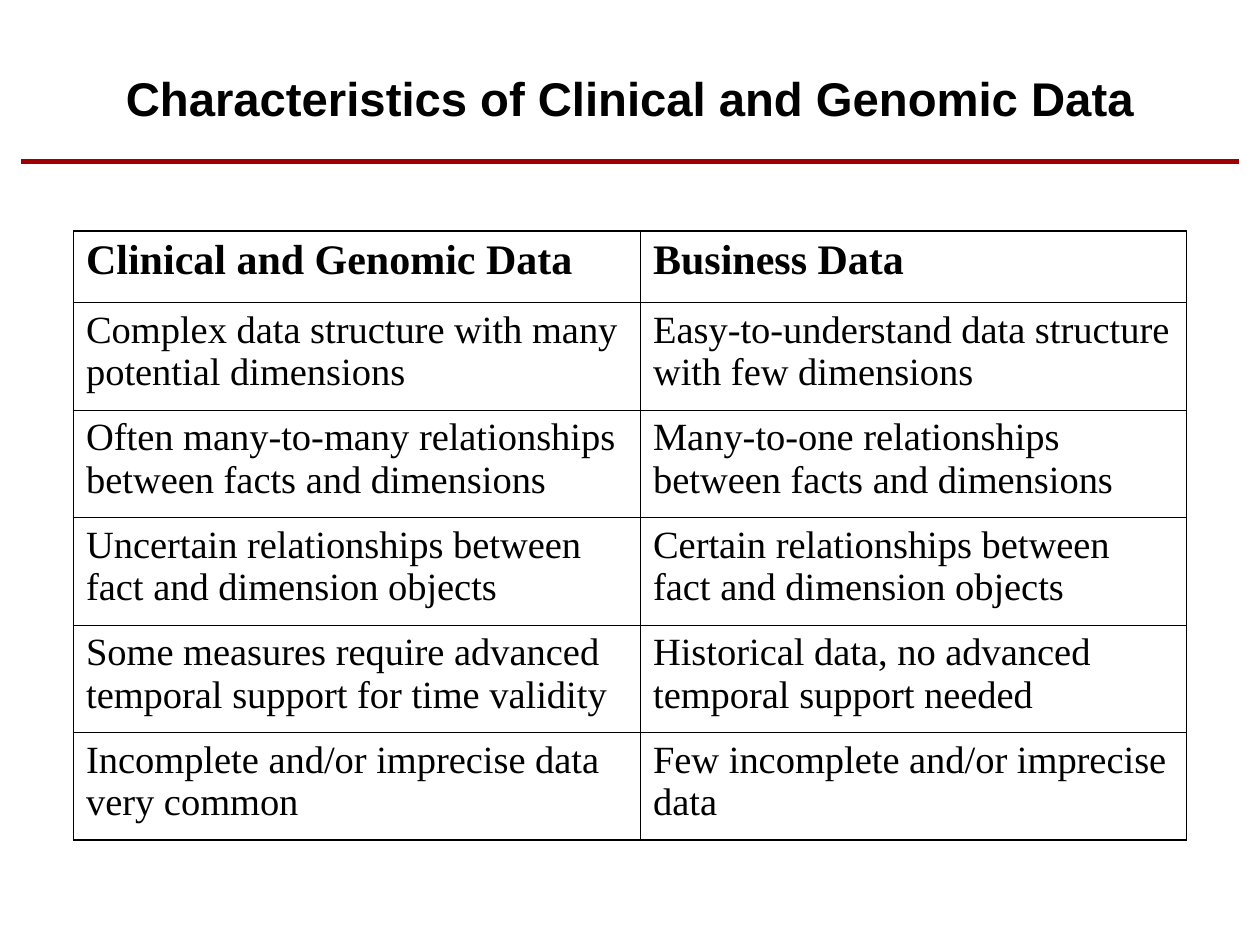
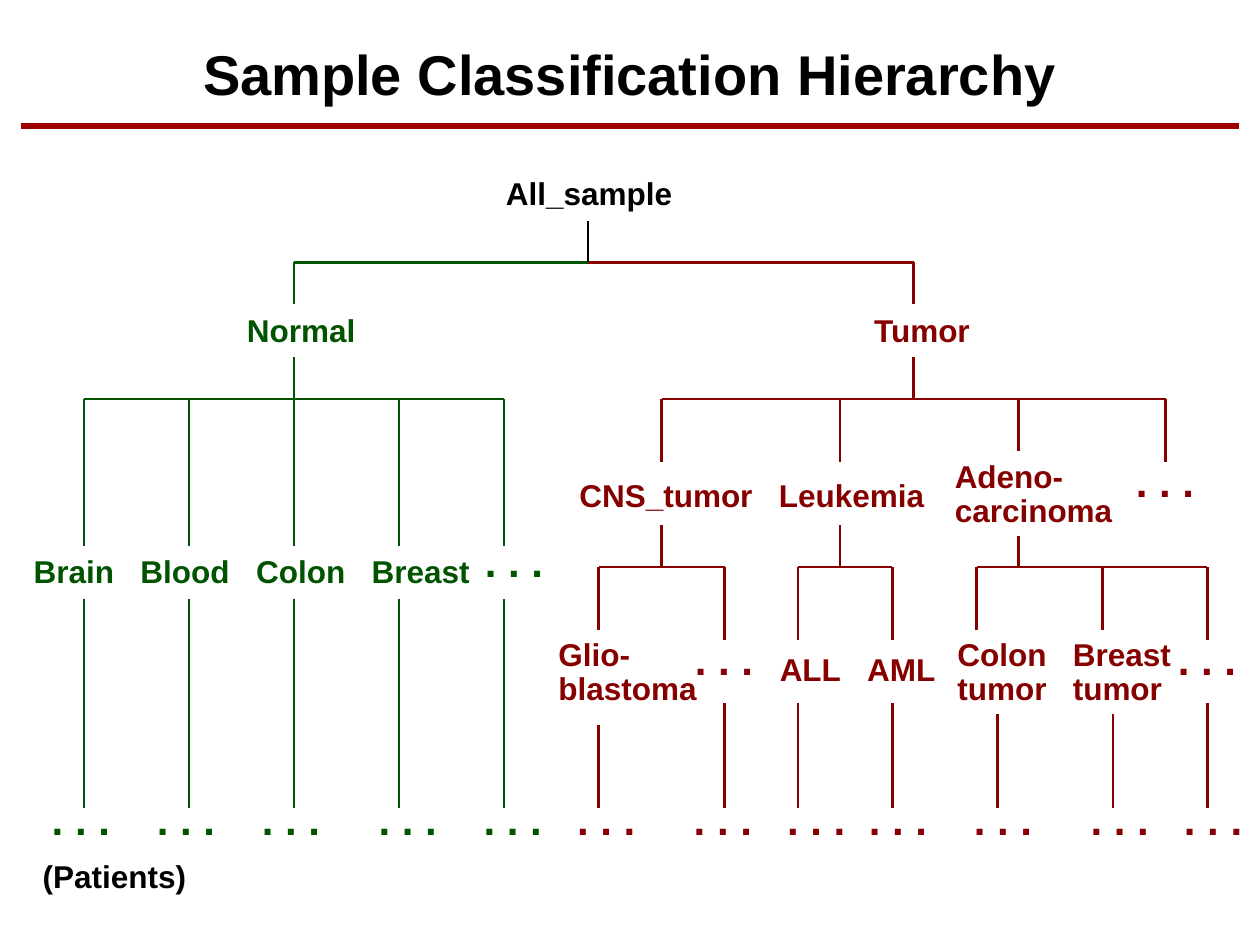
from dataclasses import dataclass
from itertools import accumulate

from lxml.etree import SubElement
from pptx import Presentation
from pptx.dml.color import RGBColor
from pptx.enum.shapes import MSO_CONNECTOR
from pptx.enum.text import MSO_ANCHOR, MSO_AUTO_SIZE, PP_ALIGN
from pptx.oxml.ns import qn
from pptx.util import Pt


@dataclass(frozen=True)
class Theme:
    """Colours, fonts, type sizes and line widths of the deck."""
    black: str = "000000"
    white: str = "FFFFFF"
    rule: str = "9E0000"
    normal: str = "005400"
    tumor: str = "860000"
    heading_font: str = "Arial"
    table_font: str = "Times New Roman"
    label_size: int = 18
    dots_size: int = 24
    header_size: int = 24
    cell_size: int = 22
    rule_width: float = 3
    branch_width: float = 1.5
    border_strong: float = 0.96
    border_light: float = 0.45


THEME = Theme()
DOTS = ". . ."
DOTS_WIDTH, DOTS_HEIGHT = 47.8, 36

COMPARISON = [
    ("Clinical and Genomic Data", "Business Data"),
    ("Complex data structure with many potential dimensions",
     "Easy-to-understand data structure with few dimensions"),
    ("Often many-to-many relationships between facts and dimensions",
     "Many-to-one relationships between facts and dimensions"),
    ("Uncertain relationships between fact and dimension objects",
     "Certain relationships between fact and dimension objects"),
    ("Some measures require advanced temporal support for time validity",
     "Historical data, no advanced temporal support needed"),
    ("Incomplete and/or imprecise data very common",
     "Few incomplete and/or imprecise data"),
]

LABELS = [
    ("All_sample", 282, 96, 109.4, THEME.black),
    ("Normal", 134, 174, 76.4, THEME.normal),
    ("Tumor", 492.5, 174, 70.4, THEME.tumor),
    ("Brain", 12.2, 312, 60.4, THEME.normal),
    ("Blood", 73.2, 312, 65.4, THEME.normal),
    ("Colon", 139.3, 312, 65.4, THEME.normal),
    ("Breast", 205.3, 312, 70.4, THEME.normal),
    ("CNS_tumor", 324, 268.5, 113.4, THEME.tumor),
    ("Leukemia", 438, 268.5, 97.4, THEME.tumor),
    ("Adeno-\ncarcinoma", 538.5, 260, 104.4, THEME.tumor),
    ("Glio-\nblastoma", 312, 361.5, 93.6, THEME.tumor),
    ("ALL", 438.5, 368, 49.4, THEME.tumor),
    ("AML", 488.5, 368, 53.4, THEME.tumor),
    ("Colon\ntumor", 540, 361.5, 65.4, THEME.tumor),
    ("Breast\ntumor", 606, 361.5, 70.4, THEME.tumor),
    ("(Patients)", 17.3, 486, 96.4, THEME.black),
]

MORE_GROUPS = [
    (270, 302.4, THEME.normal),
    (642, 257, THEME.tumor),
    (390, 358.5, THEME.tumor),
    (666, 358.5, THEME.tumor),
]

STEMS = [
    (336, 126, 150, THEME.black),
    (168, 204, 228, THEME.normal),
    (522, 204, 228, THEME.tumor),
    (378, 300, 324, THEME.tumor),
    (480, 300, 324, THEME.tumor),
    (582, 306, 324, THEME.tumor),
]

NORMAL_COLUMNS = range(48, 289, 60)
FORKS = [
    (336, 150, {168: 174}, THEME.normal),
    (336, 150, {522: 174}, THEME.tumor),
    (168, 228, dict.fromkeys(NORMAL_COLUMNS, 312), THEME.normal),
    (522, 228, {378: 264, 480: 264, 582: 258, 666: 264}, THEME.tumor),
    (378, 324, {342: 360, 414: 366}, THEME.tumor),
    (480, 324, {456: 366, 510: 366}, THEME.tumor),
    (582, 324, {558: 360, 630: 360, 690: 366}, THEME.tumor),
]

PATIENTS_BOTTOM = 462
TUMOR_PATIENT_TOPS = {342: 414, 414: 402, 456: 402, 510: 402,
                      570: 408, 636: 408, 690: 402}
PATIENT_DOT_STEPS = (9, 9, 10, 9, 8, 10, 8, 7, 9, 10, 8)
STEP_WIDTH = 6.67


def write_text(frame, text, *, size, color=THEME.black, font=THEME.heading_font,
               bold=True, align=PP_ALIGN.LEFT, spacing=None):
    """Fill a text frame with one formatted paragraph per line of text."""
    for index, line in enumerate(text.split("\n")):
        para = frame.add_paragraph() if index else frame.paragraphs[0]
        para.alignment = align
        para.line_spacing = spacing
        span = para.add_run()
        span.text = line
        span.font.size = Pt(size)
        span.font.name = font
        span.font.bold = bold
        span.font.color.rgb = RGBColor.from_string(color)


def add_label(slide, text, left, top, width, height, **text_format):
    """Add an unwrapped text box that fits its text."""
    box = slide.shapes.add_textbox(Pt(left), Pt(top), Pt(width), Pt(height))
    box.text_frame.word_wrap = False
    box.text_frame.auto_size = MSO_AUTO_SIZE.SHAPE_TO_FIT_TEXT
    write_text(box.text_frame, text, **text_format)


def add_dots(slide, left, top, color):
    """Add an ellipsis that stands for further members."""
    add_label(slide, DOTS, left, top, DOTS_WIDTH, DOTS_HEIGHT,
              size=THEME.dots_size, color=color)


def add_line(slide, start, end, color, width=THEME.branch_width):
    """Draw a straight line without a shadow."""
    line = slide.shapes.add_connector(
        MSO_CONNECTOR.STRAIGHT, *(Pt(value) for value in (*start, *end)))
    line.line.color.rgb = RGBColor.from_string(color)
    line.line.width = Pt(width)
    SubElement(line._element.spPr, qn("a:effectLst"))


def add_fork(slide, joint, bar, drops, color):
    """Draw a horizontal bar from the joint with a drop to each child."""
    columns = [joint, *drops]
    add_line(slide, (min(columns), bar), (max(columns), bar), color)
    for column, bottom in drops.items():
        add_line(slide, (column, bar), (column, bottom), color)


def add_titled_slide(deck, text, *, top, left, width, height, size, rule):
    """Add a slide with a centred title above a red rule."""
    slide = deck.slides.add_slide(deck.slide_layouts.get_by_name("Title Only"))
    title = slide.shapes.title
    title.left, title.top = Pt(left), Pt(top)
    title.width, title.height = Pt(width), Pt(height)
    frame = title.text_frame
    frame.word_wrap = True
    frame.auto_size = MSO_AUTO_SIZE.NONE
    frame.vertical_anchor = MSO_ANCHOR.MIDDLE
    write_text(frame, text, size=size, align=PP_ALIGN.CENTER)
    add_line(slide, (12, rule), (708, rule), THEME.rule, THEME.rule_width)
    return slide


def set_borders(cell, **widths):
    """Give a cell black borders, keyed by side: L, R, T and B."""
    properties = cell._tc.get_or_add_tcPr()
    for side, width in widths.items():
        border = SubElement(properties, qn(f"a:ln{side}"), w=str(Pt(width)))
        fill = SubElement(border, qn("a:solidFill"))
        SubElement(fill, qn("a:srgbClr"), val=THEME.black)


def add_comparison_table(slide, rows, left, top, column_widths, row_heights):
    """Add a ruled table with a bold header row."""
    table = slide.shapes.add_table(
        len(rows), len(column_widths), Pt(left), Pt(top),
        Pt(sum(column_widths)), Pt(sum(row_heights))).table
    table.first_row = table.horz_banding = False
    for column, width in zip(table.columns, column_widths):
        column.width = Pt(width)
    strong, light = THEME.border_strong, THEME.border_light
    last = len(rows) - 1
    for index, texts in enumerate(rows):
        table.rows[index].height = Pt(row_heights[index])
        header = index == 0
        for cell, text in zip(table.rows[index].cells, texts):
            set_borders(cell, L=strong, R=strong,
                        T=strong if index <= 1 else light,
                        B=strong if index in (0, last) else light)
            cell.fill.solid()
            cell.fill.fore_color.rgb = RGBColor.from_string(THEME.white)
            write_text(cell.text_frame, text, font=THEME.table_font, bold=header,
                       size=THEME.header_size if header else THEME.cell_size)


def build_comparison(deck):
    """Build the slide that compares two kinds of data."""
    slide = add_titled_slide(
        deck, "Characteristics of Clinical and Genomic Data",
        left=18, top=36, width=684, height=39.6, size=27, rule=92.2)
    add_comparison_table(slide, COMPARISON, 42, 132, (324, 312), (41, *[61.4] * 5))


def build_hierarchy(deck):
    """Build the slide with the tree of sample classes."""
    slide = add_titled_slide(
        deck, "Sample Classification Hierarchy",
        left=36, top=18, width=648, height=48, size=32, rule=72)
    for text, left, top, width, color in LABELS:
        two_lines = "\n" in text
        add_label(slide, text, left, top, width, 46 if two_lines else 29,
                  size=THEME.label_size, color=color,
                  spacing=0.9 if two_lines else None)
    for left, top, color in MORE_GROUPS:
        add_dots(slide, left, top, color)
    for index, step in enumerate(accumulate(PATIENT_DOT_STEPS, initial=1)):
        color = THEME.normal if index < len(NORMAL_COLUMNS) else THEME.tumor
        add_dots(slide, 15.84 + step * STEP_WIDTH, 450, color)
    for fork in FORKS:
        add_fork(slide, *fork)
    for column, top, bottom, color in STEMS:
        add_line(slide, (column, top), (column, bottom), color)
    for column in NORMAL_COLUMNS:
        add_line(slide, (column, 342), (column, PATIENTS_BOTTOM), THEME.normal)
    for column, top in TUMOR_PATIENT_TOPS.items():
        add_line(slide, (column, top), (column, PATIENTS_BOTTOM), THEME.tumor)


def main():
    """Build and save the deck."""
    deck = Presentation()
    deck.slide_width, deck.slide_height = Pt(720), Pt(540)
    build_comparison(deck)
    build_hierarchy(deck)
    deck.save("out.pptx")


if __name__ == "__main__":
    main()
